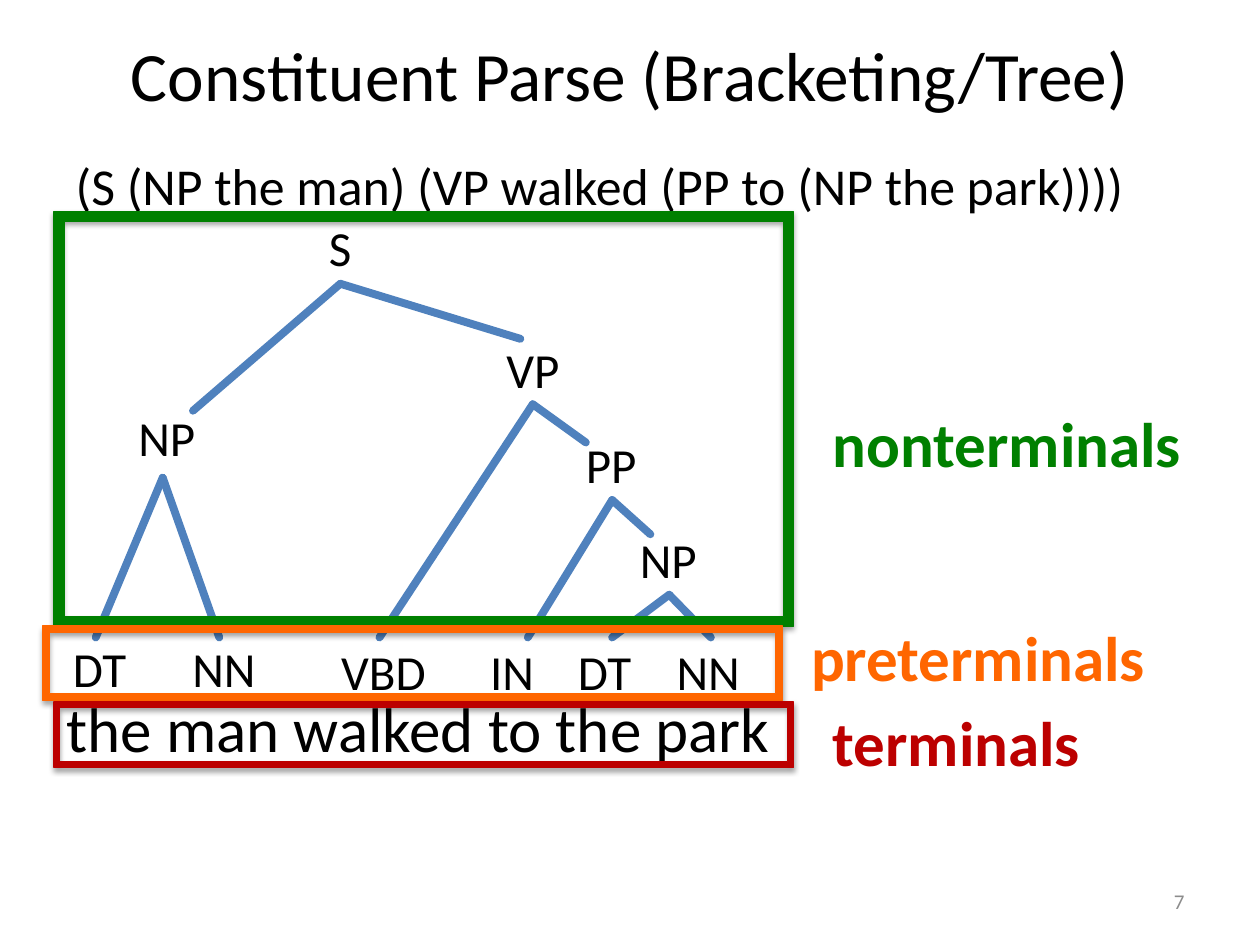
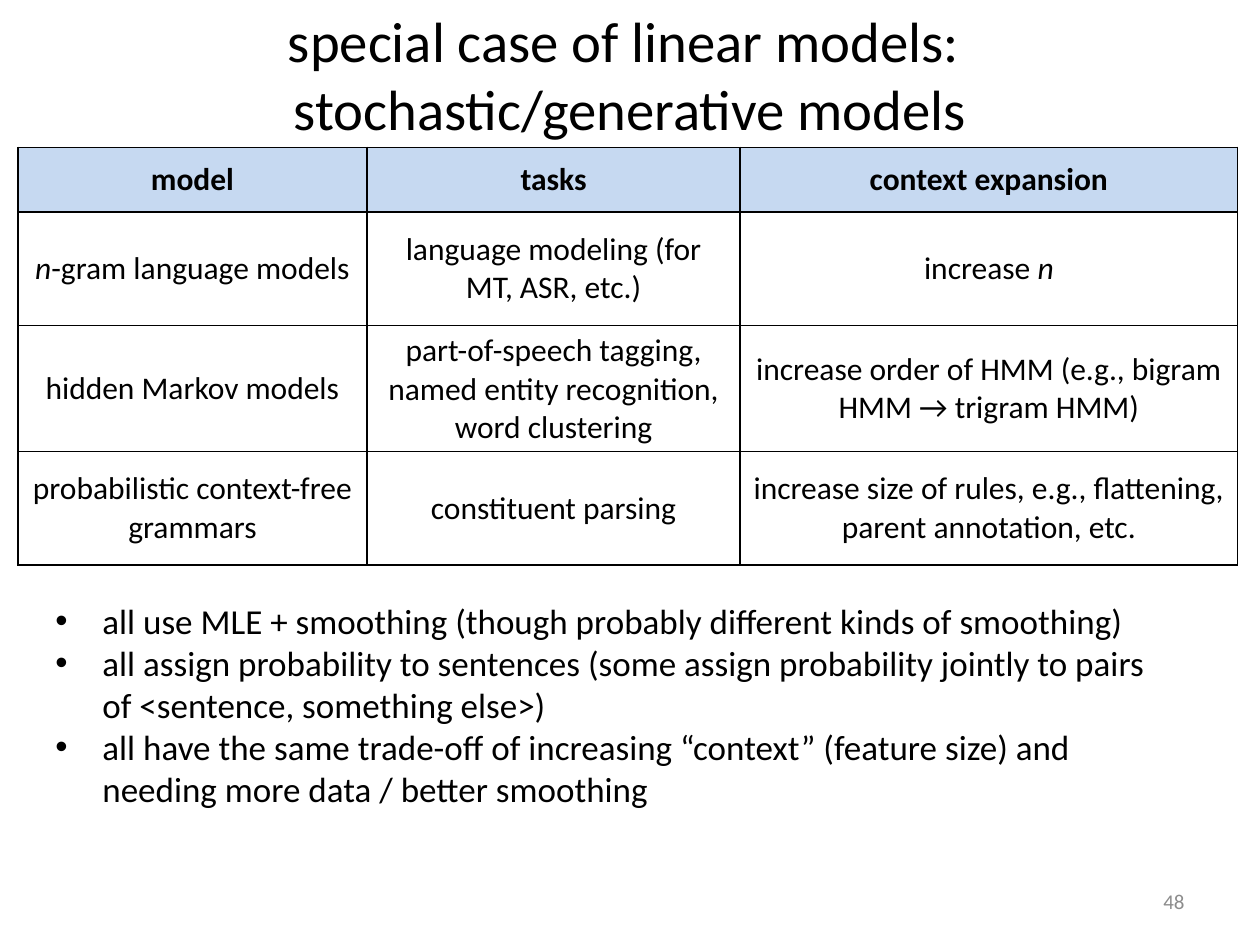
from collections import namedtuple

from lxml.etree import SubElement
from pptx import Presentation
from pptx.dml.color import RGBColor
from pptx.enum.shapes import MSO_CONNECTOR, MSO_SHAPE
from pptx.enum.text import MSO_ANCHOR, MSO_AUTO_SIZE, PP_ALIGN
from pptx.oxml.ns import qn
from pptx.util import Cm, Pt

BLACK = RGBColor(0x00, 0x00, 0x00)
GREY = RGBColor(0x8C, 0x8C, 0x8C)
BRANCH_BLUE = RGBColor(0x4F, 0x81, 0xBD)
GREEN = RGBColor(0x00, 0x80, 0x00)
ORANGE = RGBColor(0xFF, 0x66, 0x00)
RED = RGBColor(0xBC, 0x00, 0x00)
HEADER_BLUE = RGBColor(0xC6, 0xD9, 0xF1)
FONT = "Calibri"

Box = namedtuple("Box", "left top width height")
TITLE_BOX = Box(1.27, 0.48, 22.86, 2.01)
NUMBER_BOX = Box(18.21, 17.65, 5.92, 1.02)
BRACKETING_BOX = Box(1.27, 2.97, 22.86, 1.98)
NONTERMINAL_BOX = Box(1.09, 4.27, 14.91, 8.36)
PRETERMINAL_BOX = Box(0.86, 12.62, 14.91, 1.5)
TERMINAL_BOX = Box(1.09, 14.15, 14.91, 1.32)
MODELS_BOX = Box(0.36, 2.97, 24.59, 8.38)
REMARKS_BOX = Box(0.86, 11.96, 22.81, 5.38)

TAG_HEIGHT = 1.45
TAG_WIDTHS = {"S": 0.97, "NP": 1.68, "VP": 1.6, "PP": 1.55,
              "DT": 1.6, "NN": 1.8, "VBD": 2.24, "IN": 1.47}
PHRASES = [("S", 5.29, 0), ("NP", 1.45, 3.83), ("VP", 8.87, 2.44),
           ("PP", 10.47, 4.37), ("NP", 11.56, 6.27)]
PARTS_OF_SPEECH = [("DT", 0.36, 0.13), ("NN", 2.77, 0.13), ("VBD", 5.77, 0.18),
                   ("IN", 8.77, 0.18), ("DT", 10.54, 0.18), ("NN", 12.53, 0.18)]
LEAF_Y = 8.58
BRANCHES = [
    ((5.77, 1.45), [(2.8, 4.01), (9.4, 2.56)]),
    ((2.19, 5.36), [(0.84, LEAF_Y), (3.33, LEAF_Y)]),
    ((9.65, 3.88), [(6.56, LEAF_Y), (10.72, 4.65)]),
    ((11.25, 5.81), [(9.55, LEAF_Y), (12.02, 6.5)]),
    ((12.4, 7.72), [(11.25, LEAF_Y), (13.24, LEAF_Y)]),
]

MODEL_COLUMNS = [7.04, 7.52, 10.03]
MODEL_ROWS = [1.3, 2.29, 2.29, 2.29]
MODELS = [
    ["model", "tasks", "context expansion"],
    ["*n*-gram language models", "language modeling (for MT, ASR, etc.)", "increase *n*"],
    ["hidden Markov models",
     "part-of-speech tagging, named entity recognition, word clustering",
     "increase order of HMM (e.g., bigram HMM → trigram HMM)"],
    ["probabilistic context-free grammars", "constituent parsing",
     "increase size of rules, e.g., flattening, parent annotation, etc."],
]
REMARKS = [
    "all use MLE + smoothing (though probably different kinds of smoothing)",
    "all assign probability to sentences (some assign probability jointly to pairs "
    "of <sentence, something else>)",
    "all have the same trade-off of increasing “context” (feature size) and "
    "needing more data / better smoothing",
]


def in_cm(box):
    return [Cm(length) for length in box]


def style(paragraph, size, color=BLACK, bold=False):
    for run in paragraph.runs:
        font = run.font
        font.name, font.size, font.bold = FONT, Pt(size), bold
        font.color.rgb = color


def fill_placeholder(placeholder, box, lines, size):
    placeholder.left, placeholder.top, placeholder.width, placeholder.height = in_cm(box)
    frame = placeholder.text_frame
    frame.auto_size = MSO_AUTO_SIZE.NONE
    frame.text = "\n".join(lines)
    for paragraph in frame.paragraphs:
        style(paragraph, size)
    return frame


def set_bullet(paragraph, bullet=None, indent=0):
    properties = paragraph._p.get_or_add_pPr()
    properties.set("marL", str(Cm(indent)))
    properties.set("indent", str(-Cm(indent)))
    if bullet:
        SubElement(properties, qn("a:buFont"), typeface="Arial")
        SubElement(properties, qn("a:buChar"), char=bullet)
    else:
        SubElement(properties, qn("a:buNone"))
    paragraph.space_before = Pt(0)


def add_label(slide, box, text, size, color=BLACK, bold=False):
    frame = slide.shapes.add_textbox(*in_cm(box)).text_frame
    frame.text = text
    frame.word_wrap = False
    frame.auto_size = MSO_AUTO_SIZE.SHAPE_TO_FIT_TEXT
    style(frame.paragraphs[0], size, color, bold)


def add_tags(slide, box, tags):
    for tag, x, y in tags:
        add_label(slide, Box(box.left + x, box.top + y, TAG_WIDTHS[tag], TAG_HEIGHT), tag, 28)


def add_branches(slide, box):
    for (apex_x, apex_y), ends in BRANCHES:
        for end_x, end_y in ends:
            branch = slide.shapes.add_connector(
                MSO_CONNECTOR.STRAIGHT,
                Cm(box.left + apex_x), Cm(box.top + apex_y),
                Cm(box.left + end_x), Cm(box.top + end_y))
            branch.line.color.rgb = BRANCH_BLUE
            branch.line.width = Pt(4.5)
            branch.line._get_or_add_ln().set("cap", "rnd")
            SubElement(branch._element.spPr, qn("a:effectLst"))


def add_level_frame(slide, box, color, thickness):
    level = slide.shapes.add_shape(MSO_SHAPE.FRAME, *in_cm(box))
    level.adjustments[0] = thickness
    level.fill.solid()
    level.fill.fore_color.rgb = color
    level.line.color.rgb = color
    level.line.width = Pt(0.75)
    level.shadow.inherit = False
    effects = level._element.spPr.find(qn("a:effectLst"))
    shadow = SubElement(effects, qn("a:outerShdw"), blurRad=str(Pt(3.1)),
                        dist=str(Pt(1.8)), dir="5400000", rotWithShape="0")
    shade = SubElement(shadow, qn("a:srgbClr"), val=str(BLACK))
    SubElement(shade, qn("a:alpha"), val="35000")


def add_level(slide, box, color, thickness, name, name_x, name_y, name_width):
    add_level_frame(slide, box, color, thickness)
    name_box = Box(box.left + name_x, box.top + name_y, name_width, 1.8)
    add_label(slide, name_box, name, 36, color, bold=True)


def add_page_number(slide, box, number):
    frame = slide.shapes.add_textbox(*in_cm(box)).text_frame
    frame.text = str(number)
    frame.word_wrap = True
    frame.vertical_anchor = MSO_ANCHOR.MIDDLE
    frame.paragraphs[0].alignment = PP_ALIGN.RIGHT
    style(frame.paragraphs[0], 12, GREY)


def start_slide(deck, title, size, number):
    slide = deck.slides.add_slide(deck.slide_layouts[1])
    frame = fill_placeholder(slide.shapes.title, TITLE_BOX, [title], size)
    frame.vertical_anchor = MSO_ANCHOR.MIDDLE
    frame.paragraphs[0].alignment = PP_ALIGN.CENTER
    add_page_number(slide, NUMBER_BOX, number)
    return slide


def set_borders(cell):
    properties = cell._tc.get_or_add_tcPr()
    for position, side in enumerate(("a:lnL", "a:lnR", "a:lnT", "a:lnB")):
        border = properties.makeelement(qn(side), {"w": str(Pt(1))})
        properties.insert(position, border)
        SubElement(SubElement(border, qn("a:solidFill")), qn("a:srgbClr"), val=str(BLACK))


def fill_cell(cell, text, is_header):
    cell.vertical_anchor = MSO_ANCHOR.MIDDLE
    paragraph = cell.text_frame.paragraphs[0]
    paragraph.alignment = PP_ALIGN.CENTER
    for position, part in enumerate(text.split("*")):
        if part:
            run = paragraph.add_run()
            run.text = part
            run.font.italic = position % 2 == 1
    style(paragraph, 18, bold=is_header)
    if is_header:
        cell.fill.solid()
        cell.fill.fore_color.rgb = HEADER_BLUE
    else:
        cell.fill.background()
    set_borders(cell)


def add_models(slide, box):
    models = slide.shapes.add_table(len(MODELS), len(MODEL_COLUMNS), *in_cm(box)).table
    models.horz_banding = False
    for column, width in zip(models.columns, MODEL_COLUMNS):
        column.width = Cm(width)
    for row, height, texts in zip(models.rows, MODEL_ROWS, MODELS):
        row.height = Cm(height)
        for cell, text in zip(row.cells, texts):
            fill_cell(cell, text, texts is MODELS[0])


def add_parse_slide(deck):
    slide = start_slide(deck, "Constituent Parse (Bracketing/Tree)", 39.6, 7)
    bracketing = fill_placeholder(slide.placeholders[1], BRACKETING_BOX,
                                  ["(S (NP the man) (VP walked (PP to (NP the park))))"], 29.6)
    set_bullet(bracketing.paragraphs[0])
    add_branches(slide, NONTERMINAL_BOX)
    add_tags(slide, NONTERMINAL_BOX, PHRASES)
    add_tags(slide, PRETERMINAL_BOX, PARTS_OF_SPEECH)
    sentence_box = TERMINAL_BOX._replace(top=TERMINAL_BOX.top - 0.38, height=1.8)
    add_label(slide, sentence_box, "the man walked to the park", 36)
    add_level(slide, NONTERMINAL_BOX, GREEN, 0.024, "nonterminals", 15.45, 3.76, 7.62)
    add_level(slide, PRETERMINAL_BOX, ORANGE, 0.088, "preterminals", 15.24, -0.28, 7.37)
    add_level(slide, TERMINAL_BOX, RED, 0.088, "terminals", 15.45, -0.1, 5.56)


def add_models_slide(deck):
    slide = start_slide(
        deck, "special case of linear models: \vstochastic/generative models", 32.4, 48)
    add_models(slide, MODELS_BOX)
    remarks = fill_placeholder(slide.placeholders[1], REMARKS_BOX, REMARKS, 20)
    for remark in remarks.paragraphs:
        set_bullet(remark, "•", 0.95)


def main():
    deck = Presentation()
    deck.slide_width, deck.slide_height = Cm(25.4), Cm(19.05)
    add_parse_slide(deck)
    add_models_slide(deck)
    deck.save("out.pptx")


if __name__ == "__main__":
    main()
